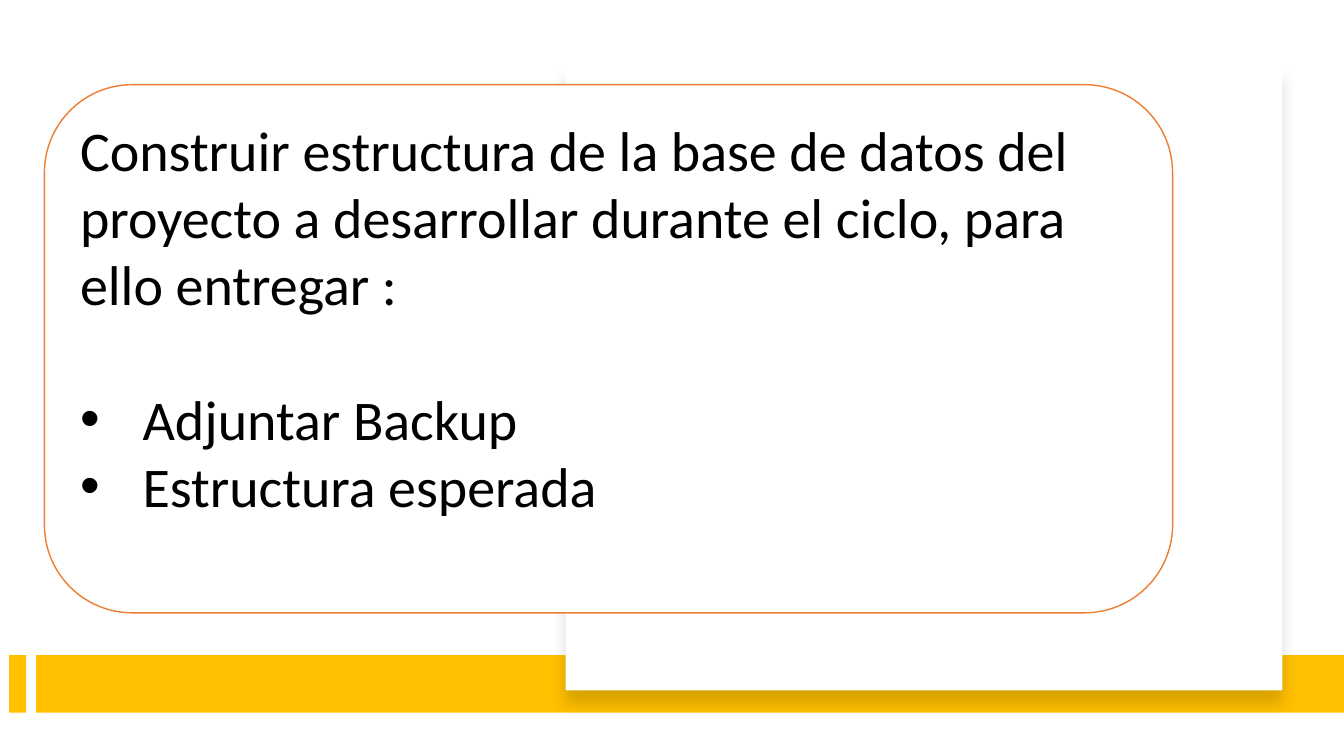
from lxml import etree
from pptx import Presentation
from pptx.dml.color import RGBColor
from pptx.enum import shapes, text
from pptx.oxml import ns
from pptx.util import Inches, Pt

WIDE, HIGH = Inches(13.33), Inches(7.5)
GOLD = RGBColor(0xFF, 0xC0, 0x00)
ORANGE = RGBColor(0xED, 0x7D, 0x31)
WHITE = RGBColor(0xFF, 0xFF, 0xFF)
BLACK = RGBColor(0, 0, 0)
KIND = shapes.MSO_SHAPE
INTRO = ("Construir estructura de la base de datos del proyecto a "
         "desarrollar durante el ciclo, para ello entregar : ")
TASKS = ["Adjuntar Backup", "Estructura esperada"]


def add_box(slide, box, fill, kind=KIND.RECTANGLE, line=None):
    """Add a filled shape; box holds left, top, width, height in inches."""
    shape = slide.shapes.add_shape(kind, *map(Inches, box))
    shape.shadow.inherit = False
    shape.fill.solid()
    shape.fill.fore_color.rgb = fill
    if line is None:
        shape.line.fill.background()
    else:
        shape.line.color.rgb = line
        shape.line.width = Pt(1)
    return shape


def add_shade(shape, blur, drop, alpha):
    """Cast a soft black shadow downwards; alpha is a percentage."""
    effect = shape._element.spPr.find(ns.qn("a:effectLst"))
    shade = etree.SubElement(
        effect, ns.qn("a:outerShdw"), blurRad=str(Pt(blur)),
        dist=str(Pt(drop)), dir="5400000", algn="t", rotWithShape="0")
    color = etree.SubElement(shade, ns.qn("a:srgbClr"), val="000000")
    etree.SubElement(color, ns.qn("a:alpha"), val=str(alpha * 1000))


def add_bullet(para, indent):
    """Give a paragraph a round bullet with a hanging indent."""
    props = para._p.get_or_add_pPr()
    props.set("marL", str(Inches(indent)))
    props.set("indent", str(-Inches(indent)))
    etree.SubElement(props, ns.qn("a:buFont"), typeface="Arial")
    etree.SubElement(props, ns.qn("a:buChar"), char="•")


def add_text(shape, intro, tasks):
    """Write the intro and, one line below it, the bulleted tasks."""
    frame = shape.text_frame
    frame.word_wrap = True
    frame.vertical_anchor = text.MSO_ANCHOR.TOP
    frame.text = "\n".join([intro, *tasks])
    for para in frame.paragraphs:
        para.alignment = text.PP_ALIGN.LEFT
        para.font.name = "Calibri"
        para.font.size = Pt(40)
        para.font.color.rgb = BLACK
    items = frame.paragraphs[1:]
    items[0].space_before = Pt(48)
    for para in items:
        add_bullet(para, 0.62)


def main():
    """Build the slide and save it."""
    deck = Presentation()
    deck.slide_width, deck.slide_height = WIDE, HIGH
    slide = deck.slides.add_slide(deck.slide_layouts[6])
    for left, width in [(0.09, 0.17), (0.36, 12.97)]:
        add_box(slide, (left, 6.5, width, 0.57), GOLD)
    panel = add_box(slide, (5.61, 0.64, 7.11, 6.21), WHITE)
    add_shade(panel, blur=11, drop=10, alpha=15)
    card = add_box(slide, (0.44, 0.84, 11.19, 5.24), WHITE,
                   KIND.ROUNDED_RECTANGLE, ORANGE)
    add_text(card, INTRO, TASKS)
    deck.save("out.pptx")


main()
